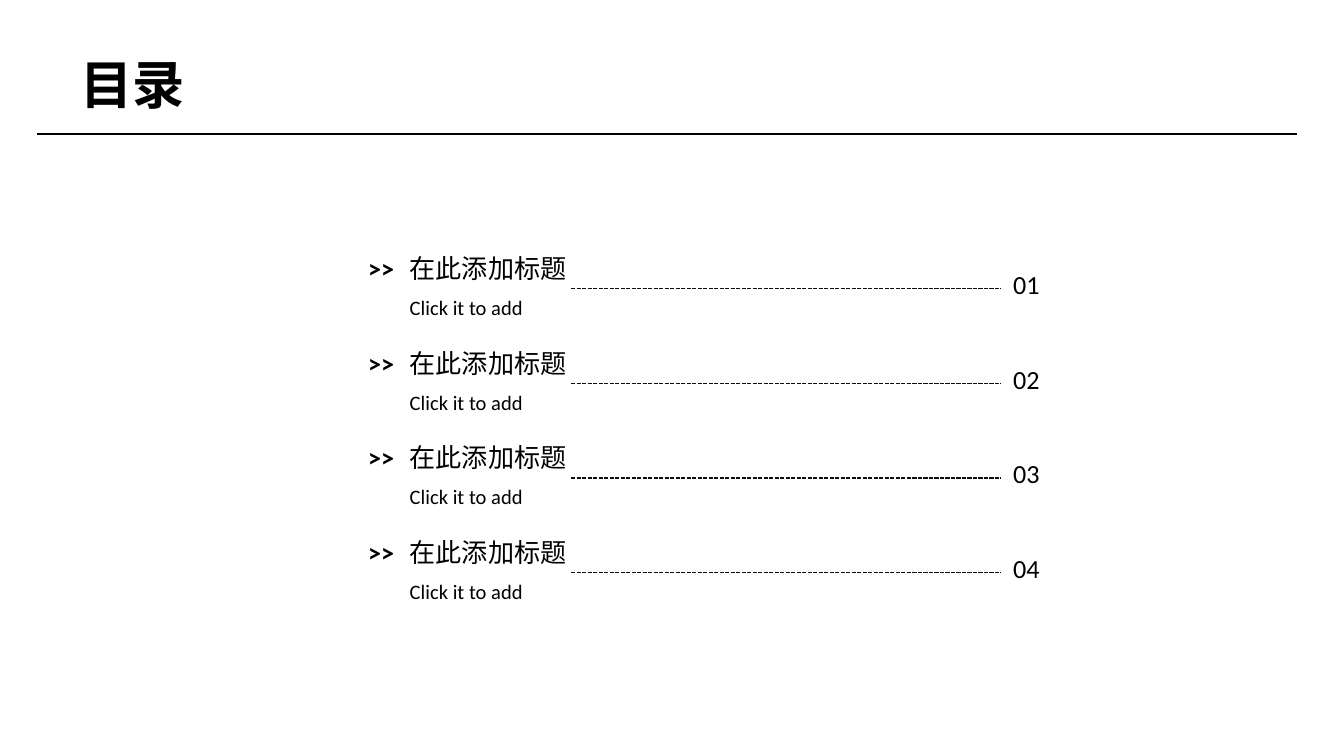
from lxml.etree import SubElement
from pptx import Presentation
from pptx.dml.color import RGBColor
from pptx.enum.dml import MSO_LINE
from pptx.enum.shapes import MSO_CONNECTOR
from pptx.enum.text import MSO_ANCHOR, MSO_AUTO_SIZE, PP_ALIGN
from pptx.oxml.ns import qn
from pptx.util import Pt

ENTRY_COUNT = 4
FIRST_TOP = 131.8
ROW_PITCH = 50.65
HEADING = {"size": Pt(14)}
MARKER = {"size": Pt(14), "bold": True}
CAPTION = {"size": Pt(11)}
TITLE = {"size": Pt(28), "bold": True}


def color(value):
    return RGBColor.from_string(value)


class ContentsSlide:
    font_name = "Calibri"
    text_color = "000000"
    leader_color = "0D0D0D"

    def __init__(self, presentation):
        self.slide = presentation.slides.add_slide(presentation.slide_layouts[6])

    def text(self, shapes, content, box, font_format, alignment=PP_ALIGN.LEFT,
             anchor=MSO_ANCHOR.TOP, auto_size=MSO_AUTO_SIZE.SHAPE_TO_FIT_TEXT):
        shape = shapes.add_textbox(*map(Pt, box))
        frame_format = {
            "word_wrap": True,
            "vertical_anchor": anchor,
            "auto_size": auto_size,
        }
        for name, value in frame_format.items():
            setattr(shape.text_frame, name, value)
        paragraph = shape.text_frame.paragraphs[0]
        paragraph.alignment = alignment
        run = paragraph.add_run()
        run.text = content
        for name, value in {"name": self.font_name, **font_format}.items():
            setattr(run.font, name, value)
        run.font.color.rgb = color(self.text_color)

    def rule(self, shapes, left, right, top, line_color, line_format):
        connector = shapes.add_connector(
            MSO_CONNECTOR.STRAIGHT, Pt(left), Pt(top), Pt(right), Pt(top))
        connector.line.color.rgb = color(line_color)
        for name, value in line_format.items():
            setattr(connector.line, name, value)
        SubElement(connector._element.spPr, qn("a:effectLst"))

    def title(self, content):
        self.text(self.slide.shapes, content, (36, 16.6, 648, 56.2), TITLE,
                  anchor=MSO_ANCHOR.MIDDLE, auto_size=MSO_AUTO_SIZE.NONE)

    def title_rule(self):
        self.rule(self.slide.shapes, 20, 695, 72, self.text_color, {"width": Pt(1)})

    def entry(self, number, heading, caption):
        shapes = self.slide.shapes.add_group_shape().shapes
        top = FIRST_TOP + (number - 1) * ROW_PITCH
        middle = top + 22.9
        self.text(shapes, heading, (212.4, top, 141.8, 24.2), HEADING)
        self.rule(shapes, 306, 536, middle, self.leader_color,
                  {"width": Pt(0.75), "dash_style": MSO_LINE.SQUARE_DOT})
        self.text(shapes, caption, (212.4, middle, 130.3, 20.6), CAPTION)
        self.text(shapes, ">>", (172.8, top, 45.4, 24.2), MARKER, PP_ALIGN.RIGHT)
        self.text(shapes, f"{number:02d}", (535.7, top + 8.5, 45.4, 24.2), HEADING)


def main():
    presentation = Presentation()
    presentation.slide_width = Pt(720)
    presentation.slide_height = Pt(405)
    contents = ContentsSlide(presentation)
    contents.title("目录")
    for number in range(1, ENTRY_COUNT + 1):
        contents.entry(number, "在此添加标题", "Click it to add")
    contents.title_rule()
    presentation.save("out.pptx")


if __name__ == "__main__":
    main()
